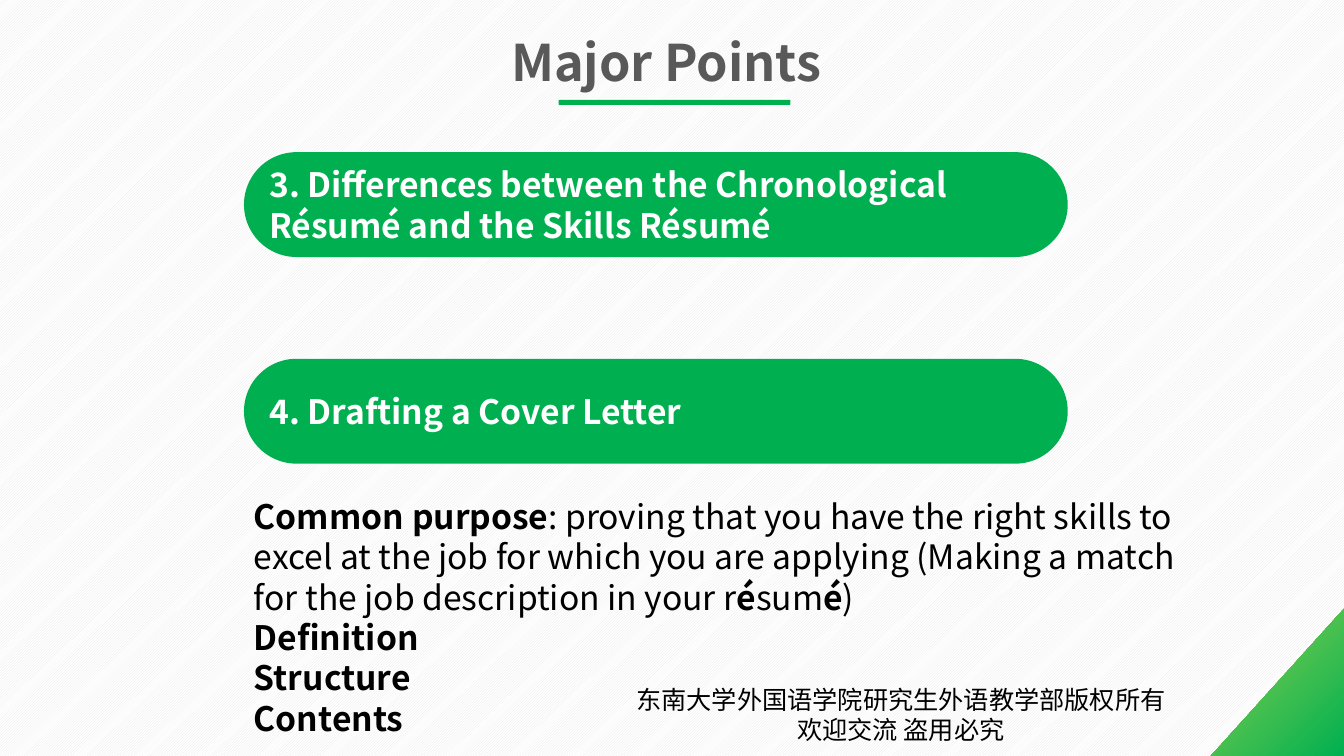
from lxml.etree import SubElement
from pptx import Presentation
from pptx.dml.color import RGBColor
from pptx.enum.dml import MSO_PATTERN
from pptx.enum.shapes import MSO_SHAPE as Preset
from pptx.enum.text import MSO_ANCHOR, MSO_AUTO_SIZE as AutoSize, PP_ALIGN as Align
from pptx.oxml.ns import qn
from pptx.util import Inches, Pt

WIDTH, HEIGHT = 13.33, 7.5
FONT = "Noto Sans CJK SC"
COLOURS = {
    "green": "00B050", "lime": "92D050", "title": "595959", "text": "000000",
    "white": "FFFFFF", "stripe": "E7E6E6",
}
CONTENT_LEFT = 2.42
BAR_TOP, BAR_STEP, BAR_WIDTH, BAR_HEIGHT = 1.51, 2.05, 8.17, 1.04
BARS = [
    "3. Differences between the Chronological Résumé and the Skills Résumé",
    "4. Drafting a Cover Letter",
]
DETAILS = [
    [
        ("Common purpose", True),
        (": proving that you have the right skills to excel at the job for which "
         "you are applying (Making a match for the job description in your r", False),
        ("é", True), ("sum", False), ("é", True), (")", False),
    ],
    [("Definition", True)],
    [("Structure", True)],
    [("Contents", True)],
]
COPYRIGHT = "东南大学外国语学院研究生外语教学部版权所有 欢迎交流 盗用必究"


def colour(name):
    """Return the named colour."""
    return RGBColor.from_string(COLOURS[name])


def write(frame, paragraphs, size, colour_name, align=Align.LEFT):
    """Fill a text frame with paragraphs of (text, bold) runs."""
    for index, runs in enumerate(paragraphs):
        paragraph = frame.add_paragraph() if index else frame.paragraphs[0]
        paragraph.alignment = align
        for text, bold in runs:
            run = paragraph.add_run()
            run.text = text
            run.font.size, run.font.bold, run.font.name = Pt(size), bold, FONT
            run.font.color.rgb = colour(colour_name)
            SubElement(run.font._element, qn("a:ea"), typeface=FONT)


def add_text(slide, box, paragraphs, size, colour_name, align=Align.LEFT,
             wrap=True, auto_size=AutoSize.SHAPE_TO_FIT_TEXT):
    """Add a text box in the given box."""
    frame = slide.shapes.add_textbox(*map(Inches, box)).text_frame
    frame.word_wrap, frame.auto_size = wrap, auto_size
    write(frame, paragraphs, size, colour_name, align)


def add_plain_shape(slide, preset, box):
    """Add a green shape without line or shadow."""
    shape = slide.shapes.add_shape(preset, *map(Inches, box))
    shape.shadow.inherit = False
    shape.line.fill.background()
    shape.fill.solid()
    shape.fill.fore_color.rgb = colour("green")
    return shape


def paint_background(slide):
    """Cover the slide with a light diagonal pattern."""
    fill = slide.background.fill
    fill.patterned()
    fill.pattern = MSO_PATTERN.LIGHT_UPWARD_DIAGONAL
    fill.fore_color.rgb = colour("stripe")
    fill.back_color.rgb = colour("white")


def add_title(slide, left, top, width, height):
    """Add the title and the rule below it."""
    add_text(slide, (left, top, width, height), [[("Major Points ", True)]],
             36, "title", Align.CENTER, wrap=False)
    add_plain_shape(slide, Preset.ROUNDED_RECTANGLE,
                    (left + 0.72, top + height + 0.02, 2.3, 0.05))


def add_bar(slide, box, text):
    """Add a pill-shaped heading."""
    bar = add_plain_shape(slide, Preset.ROUNDED_RECTANGLE, box)
    bar.adjustments[0] = 0.5
    frame = bar.text_frame
    frame.word_wrap, frame.vertical_anchor = True, MSO_ANCHOR.MIDDLE
    frame.margin_left = frame.margin_right = Inches(0.1)
    write(frame, [[(text, True)]], 24, "white")


def add_corner(slide, width, height):
    """Add the gradient triangle in the bottom right corner."""
    corner = add_plain_shape(slide, Preset.RIGHT_TRIANGLE,
                             (WIDTH - width, HEIGHT - height, width, height))
    corner._element.spPr.find(qn("a:xfrm")).set("flipH", "1")
    corner.fill.gradient()
    corner.fill.gradient_angle = 225
    for stop, name, position in zip(corner.fill.gradient_stops, ("lime", "green"), (0, 1)):
        stop.color.rgb = colour(name)
        stop.position = position


def main():
    """Build and save the slide."""
    presentation = Presentation()
    presentation.slide_width, presentation.slide_height = Inches(WIDTH), Inches(HEIGHT)
    slide = presentation.slides.add_slide(presentation.slide_layouts[6])
    paint_background(slide)
    add_title(slide, 4.82, 0.26, 3.69, 0.71)
    for row, text in enumerate(BARS):
        add_bar(slide, (CONTENT_LEFT, BAR_TOP + row * BAR_STEP, BAR_WIDTH, BAR_HEIGHT), text)
    add_text(slide, (CONTENT_LEFT, 4.87, 9.6, 2.52), DETAILS, 24, "text")
    add_corner(slide, 1.32, 1.46)
    add_text(slide, (6.13, 6.74, 5.61, 0.76), [[(COPYRIGHT, False)]], 18, "text",
             Align.CENTER, auto_size=AutoSize.NONE)
    presentation.save("out.pptx")


if __name__ == "__main__":
    main()
